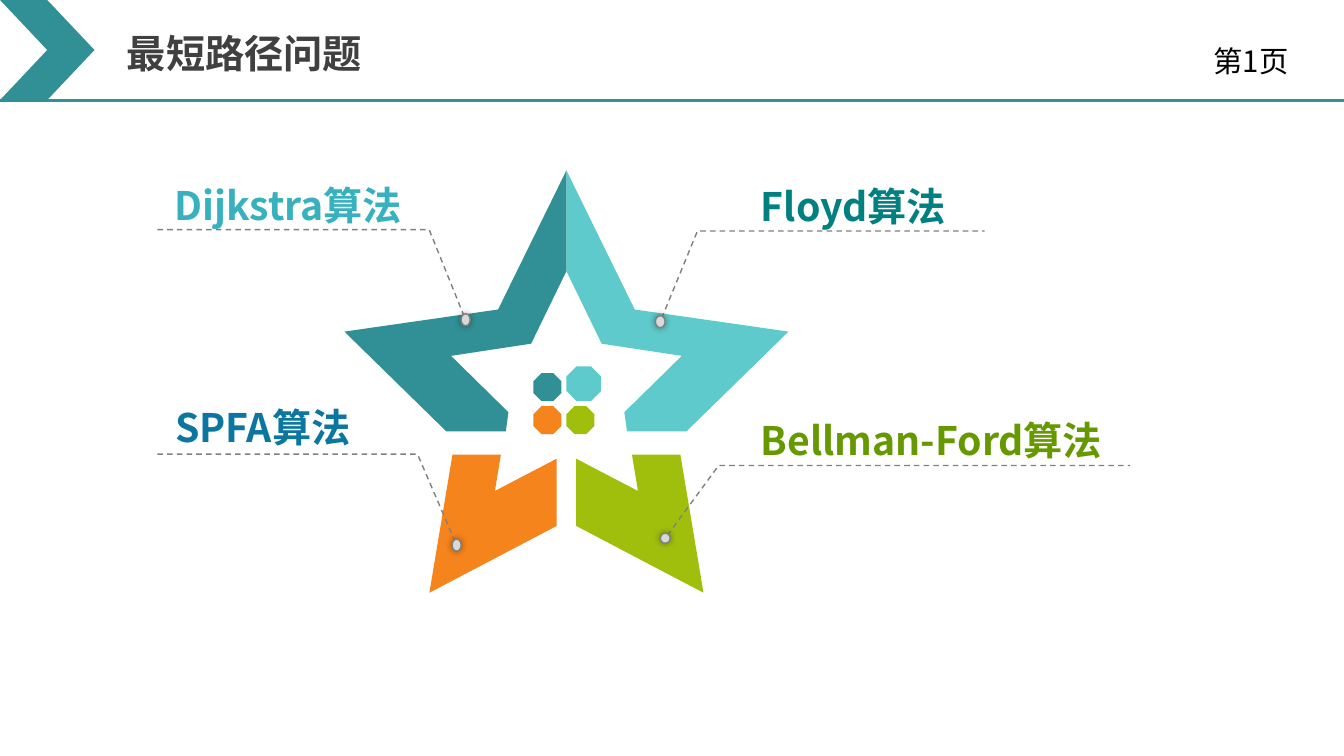
from collections import namedtuple
from dataclasses import dataclass

from lxml import etree
from pptx import Presentation
from pptx.dml.color import RGBColor
from pptx.enum.dml import MSO_LINE
from pptx.enum.shapes import MSO_CONNECTOR, MSO_SHAPE
from pptx.enum.text import MSO_ANCHOR, PP_ALIGN
from pptx.oxml import parse_xml
from pptx.oxml.ns import nsdecls, qn
from pptx.util import Pt

STRAIGHT = MSO_CONNECTOR.STRAIGHT
CHEVRON, OCTAGON, OVAL = MSO_SHAPE.CHEVRON, MSO_SHAPE.OCTAGON, MSO_SHAPE.OVAL
DASH = MSO_LINE.DASH
TOP, MIDDLE = MSO_ANCHOR.TOP, MSO_ANCHOR.MIDDLE
LEFT, JUSTIFY = PP_ALIGN.LEFT, PP_ALIGN.JUSTIFY
TITLE_ONLY = 5

Box = namedtuple("Box", "left top width height")
Callout = namedtuple("Callout", "box side elbow dot_size text colour label_left label_width lift")


@dataclass(frozen=True)
class Theme:
    font: str = "Noto Sans CJK SC"
    heading_size: float = 28
    page_size: float = 21
    teal: str = "319095"
    aqua: str = "5FCACB"
    orange: str = "F5841C"
    green: str = "A0BF0D"
    title: str = "404040"
    black: str = "000000"
    leader: str = "808080"
    dot: str = "D9D9D9"
    dijkstra: str = "38B1BF"
    floyd: str = "008080"
    spfa: str = "0B76A0"
    bellman: str = "669900"


THEME = Theme()

# Half of the star, measured from its axis and its top point.
UPPER_ARM = [(0, 0), (48.8, 99.4), (158.6, 115.2), (85.7, 186.5), (43.3, 186.5),
             (41.4, 172.8), (82.4, 132.5), (25.2, 123.8), (0, 72)]
LOWER_ARM = [(7, 206), (7, 254), (97.9, 301.7), (81.4, 203), (46.8, 203), (51.1, 229)]

CALLOUTS = [
    Callout(Box(111.6, 164, 221, 64.4), "right", 26, (6.5, 8.6),
            "Dijkstra算法", THEME.dijkstra, 5.8, 200, 52.4),
    Callout(Box(471.6, 165, 231.8, 64.8), "left", 26.6, (7, 8.6),
            "Floyd算法", THEME.floyd, 64.8, 181, 52),
    Callout(Box(111.6, 324.4, 214.6, 65), "right", 28, (6.5, 8.6),
            "SPFA算法", THEME.spfa, 6.5, 181, 53.7),
    Callout(Box(475.2, 332.5, 332, 52), "left", 38.2, (7, 7.2),
            "Bellman-Ford算法", THEME.bellman, 61.2, 275, 52.4),
]


def colour_of(code):
    return RGBColor.from_string(code)


def place(shape, box):
    shape.left, shape.top, shape.width, shape.height = map(Pt, box)


def write(shape, text, size, colour, bold=False, anchor=TOP, align=LEFT, spacing=None):
    frame = shape.text_frame
    frame.word_wrap = True
    frame.vertical_anchor = anchor
    para = frame.paragraphs[0]
    para.alignment = align
    if spacing:
        para.line_spacing = spacing
    span = para.add_run()
    span.text = text
    span.font.name = THEME.font
    span.font.size = Pt(size)
    span.font.bold = bold
    span.font.color.rgb = colour_of(colour)
    east_asian = etree.SubElement(span.font._element, qn("a:ea"))
    east_asian.set("typeface", THEME.font)


def add_text(page, box, text, size, colour, **style):
    write(page.shapes.add_textbox(*map(Pt, box)), text, size, colour, **style)


def paint(shape, colour):
    shape.shadow.inherit = False
    shape.fill.solid()
    shape.fill.fore_color.rgb = colour_of(colour)
    shape.line.fill.background()


def add_filled(page, preset, box, colour):
    shape = page.shapes.add_shape(preset, *map(Pt, box))
    paint(shape, colour)
    return shape


def add_outline(page, points, close):
    corners = [(Pt(x), Pt(y)) for x, y in points]
    builder = page.shapes.build_freeform(*corners[0], scale=1.0)
    builder.add_line_segments(corners[1:], close=close)
    return builder.convert_to_shape()


def add_header(page, box):
    base = box.top + box.height
    rule = page.shapes.add_connector(
        STRAIGHT, Pt(box.left), Pt(base), Pt(box.left + box.width), Pt(base))
    rule.line.color.rgb = colour_of(THEME.teal)
    rule.line.width = Pt(2.25)
    etree.SubElement(rule._element.spPr, qn("a:effectLst"))
    add_filled(page, CHEVRON, Box(box.left, box.top, 67.5, box.height), THEME.teal)
    add_text(page, Box(box.left + box.width - 100.3, box.top + 27.4, 85, 28.8),
             "第1页", THEME.page_size, THEME.black)
    title = page.shapes.title
    place(title, Box(box.left + 83.5, box.top + 17.3, 311.8, 41))
    write(title, "最短路径问题", THEME.heading_size, THEME.title, bold=True, anchor=MIDDLE)


def add_star(page, box):
    axis = box.left + box.width / 2
    for arm, side, colour in [
        (LOWER_ARM, 1, THEME.green), (LOWER_ARM, -1, THEME.orange),
        (UPPER_ARM, 1, THEME.aqua), (UPPER_ARM, -1, THEME.teal),
    ]:
        points = [(axis + side * x, box.top + y) for x, y in arm]
        paint(add_outline(page, points, True), colour)

    middle_x, middle_y, half_gap = axis - 1.8, box.top + 166.6, 1.8
    for column, row, size, colour in [
        (-1, -1, 20, THEME.teal), (1, -1, 24.8, THEME.aqua),
        (-1, 1, 20, THEME.orange), (1, 1, 20, THEME.green),
    ]:
        reach = half_gap + size / 2
        octagon = Box(middle_x + column * reach - size / 2,
                      middle_y + row * reach - size / 2, size, size)
        add_filled(page, OCTAGON, octagon, colour)


def add_callout(page, callout):
    """Draw a label, its dashed leader and the dot at the leader's lower end."""
    box = callout.box
    right = box.left + box.width
    if callout.side == "right":
        dot_x, elbow_x, end_x = right, right - callout.elbow, box.left
    else:
        dot_x, elbow_x, end_x = box.left, box.left + callout.elbow, right
    dot_y = box.top + box.height

    add_text(page, Box(box.left + callout.label_left, box.top - callout.lift,
                       callout.label_width, 52),
             callout.text, THEME.heading_size, callout.colour,
             bold=True, anchor=MIDDLE, align=JUSTIFY, spacing=1.5)

    leader = add_outline(page, [(dot_x, dot_y), (elbow_x, box.top), (end_x, box.top)], False)
    leader.shadow.inherit = False
    leader.fill.background()
    leader.line.color.rgb = colour_of(THEME.leader)
    leader.line.width = Pt(1)
    leader.line.dash_style = DASH
    etree.SubElement(leader.line._get_or_add_ln(), qn("a:headEnd")).set("type", "oval")

    width, height = callout.dot_size
    dot = add_filled(page, OVAL, Box(dot_x - width / 2, dot_y - height / 2, width, height),
                     THEME.dot)
    dot.line.color.rgb = colour_of(THEME.leader)
    dot.line.width = Pt(1)
    dot._element.spPr.find(qn("a:effectLst")).append(parse_xml(
        f'<a:outerShdw {nsdecls("a")} blurRad="{Pt(5)}" algn="ctr" rotWithShape="0">'
        f'<a:srgbClr val="{THEME.black}"><a:alpha val="40000"/></a:srgbClr></a:outerShdw>'))


def main():
    deck = Presentation()
    deck.slide_width, deck.slide_height = Pt(960), Pt(540)
    page = deck.slides.add_slide(deck.slide_layouts[TITLE_ONLY])
    add_header(page, Box(0, 0, 960, 71.5))
    add_star(page, Box(246, 121.7, 317.2, 301.7))
    for callout in CALLOUTS:
        add_callout(page, callout)
    deck.save("out.pptx")


if __name__ == "__main__":
    main()
